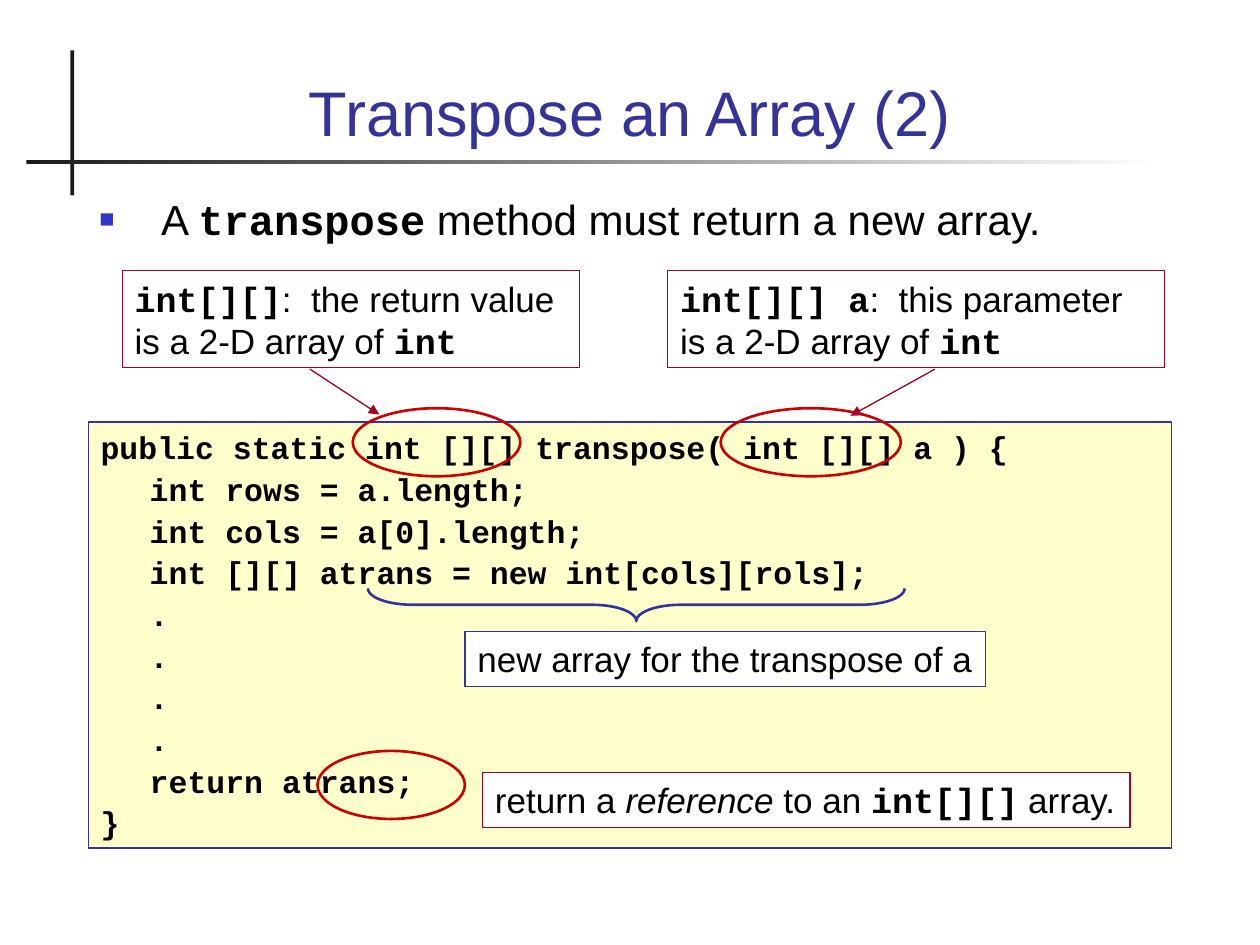
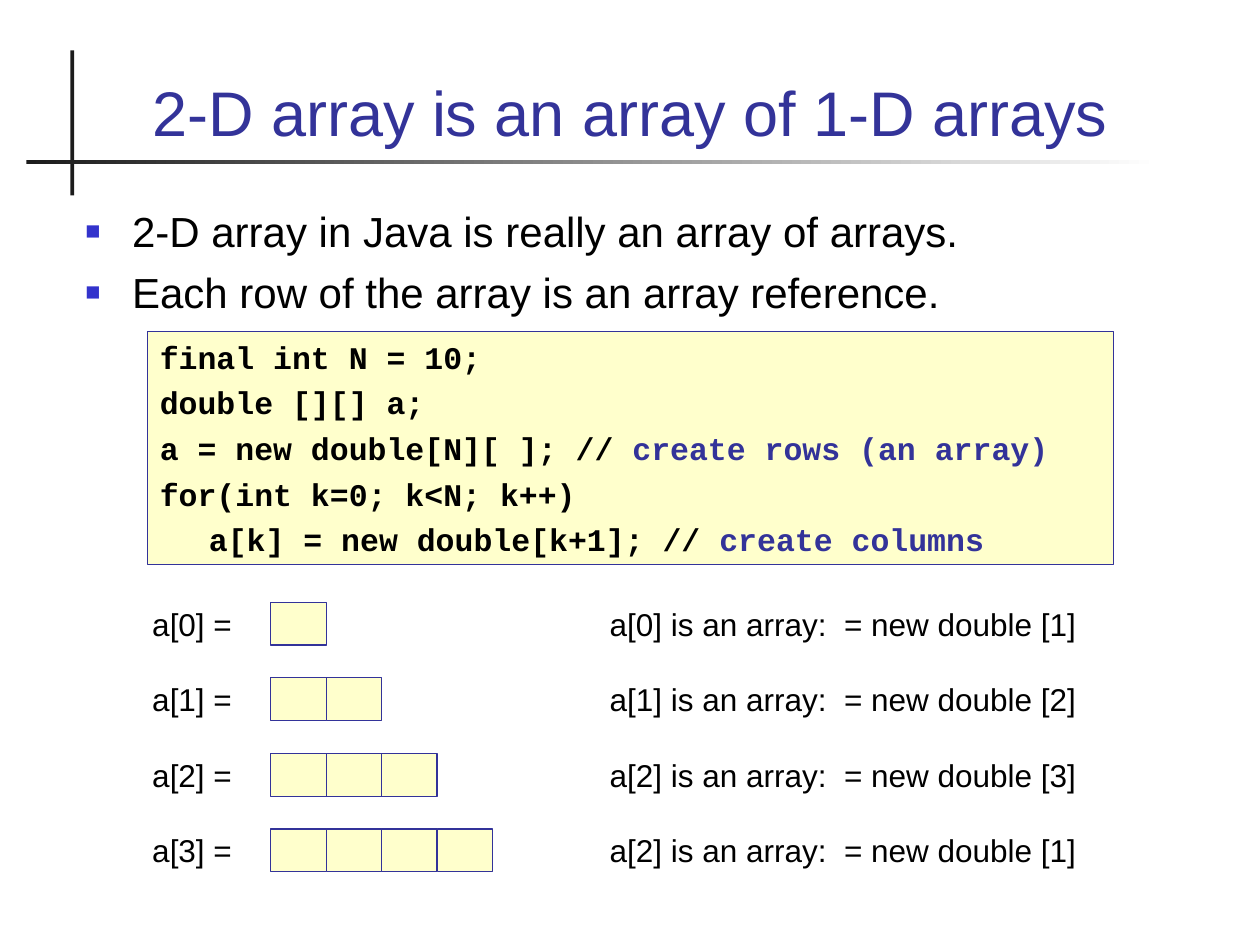
from dataclasses import dataclass

from lxml import etree
from pptx import Presentation
from pptx.dml.color import RGBColor
from pptx.enum.shapes import MSO_CONNECTOR, MSO_SHAPE
from pptx.enum.text import MSO_ANCHOR, PP_ALIGN
from pptx.oxml.ns import qn
from pptx.util import Emu, Pt

RECTANGLE = MSO_SHAPE.RECTANGLE
OVAL = MSO_SHAPE.OVAL
RIGHT_BRACE = MSO_SHAPE.RIGHT_BRACE
STRAIGHT = MSO_CONNECTOR.STRAIGHT
TOP, BOTTOM = MSO_ANCHOR.TOP, MSO_ANCHOR.BOTTOM
LEFT, CENTER = PP_ALIGN.LEFT, PP_ALIGN.CENTER

PX = 9144
CODE_TAB = 39


@dataclass(frozen=True)
class Theme:
    ink: str = "000000"
    paper: str = "FFFFFF"
    rule: str = "1C1C1C"
    accent: str = "333399"
    bullet: str = "3333CC"
    code_fill: str = "FFFFCC"
    note: str = "A50021"
    ring: str = "CC0000"
    text_font: str = "Arial"
    code_font: str = "Courier New"
    title_size: int = 36
    body_size: int = 24
    note_size: int = 20
    code_size: int = 18
    thin: float = 0.75
    thick: float = 1.5


def rgb(color):
    return RGBColor.from_string(color)


def px(*lengths):
    return [Emu(length * PX) for length in lengths]


def code(text):
    return text, "code"


def comment(text):
    return text, "comment"


class Slides:
    def __init__(self, theme):
        self.theme = theme
        self.deck = Presentation()
        self.deck.slide_width, self.deck.slide_height = px(1000, 750)
        self.page = None

    def add_page(self, title):
        theme = self.theme
        self.page = self.deck.slides.add_slide(self.deck.slide_layouts[6])
        self.shape(RECTANGLE, (56, 40, 3, 115), fill=theme.rule)
        band = self.shape(RECTANGLE, (21, 127, 899, 3), fill=theme.rule)
        band.fill.gradient()
        band.fill.gradient_angle = 0
        for stop, color in zip(band.fill.gradient_stops, (theme.rule, theme.paper)):
            stop.color.rgb = rgb(color)
        self.text((67, 28, 866, 95), [[title]], theme.title_size,
                  color=theme.accent, align=CENTER, anchor=BOTTOM)

    def shape(self, kind, area, fill=None, line=None, width=Theme.thin):
        shape = self.page.shapes.add_shape(kind, *px(*area))
        shape.shadow.inherit = False
        if fill:
            shape.fill.solid()
            shape.fill.fore_color.rgb = rgb(fill)
        else:
            shape.fill.background()
        if line:
            shape.line.color.rgb = rgb(line)
            shape.line.width = Pt(width)
        else:
            shape.line.fill.background()
        return shape

    def text(self, area, lines, size, **options):
        box = self.page.shapes.add_textbox(*px(*area))
        self.set_text(box, lines, size, **options)

    def set_text(self, box, lines, size, color=Theme.ink, font=Theme.text_font,
                 bold=False, align=LEFT, anchor=TOP, wrap=True, gap=0, hanging=0, tab=0):
        frame = box.text_frame
        frame.word_wrap = wrap
        frame.vertical_anchor = anchor
        for index, spans in enumerate(lines):
            para = frame.paragraphs[0] if index == 0 else frame.add_paragraph()
            if hanging:
                self.bullet(para, hanging)
            if tab:
                stops = etree.SubElement(para._p.get_or_add_pPr(), qn("a:tabLst"))
                etree.SubElement(stops, qn("a:tab"), pos=str(tab * PX), algn="l")
            para.alignment = align
            if index and gap:
                para.space_before = Pt(gap)
            para.font.size = Pt(size)
            para.font.name = font
            para.font.bold = bold
            para.font.color.rgb = rgb(color)
            for span in spans:
                self.span(para, span)

    def span(self, para, span):
        text, style = (span, "plain") if isinstance(span, str) else span
        run = para.add_run()
        run.text = text
        if style == "code":
            run.font.name = self.theme.code_font
            run.font.bold = True
        elif style == "italic":
            run.font.italic = True
        elif style == "comment":
            run.font.color.rgb = rgb(self.theme.accent)

    def bullet(self, para, hanging):
        props = para._p.get_or_add_pPr()
        props.set("marL", str(hanging * PX))
        props.set("indent", str(-hanging * PX))
        tint = etree.SubElement(props, qn("a:buClr"))
        etree.SubElement(tint, qn("a:srgbClr"), val=self.theme.bullet)
        etree.SubElement(props, qn("a:buSzPct"), val="60000")
        etree.SubElement(props, qn("a:buFont"), typeface=self.theme.text_font)
        etree.SubElement(props, qn("a:buChar"), char="■")

    def bullets(self, area, lines, hanging):
        self.text(area, lines, self.theme.body_size, gap=6, hanging=hanging)

    def code_box(self, area, lines, gap):
        theme = self.theme
        box = self.shape(RECTANGLE, area, theme.code_fill, theme.accent)
        self.set_text(box, lines, theme.code_size, font=theme.code_font,
                      bold=True, gap=gap, tab=CODE_TAB)

    def note(self, area, spans, line=Theme.note, fill=None, wrap=True):
        box = self.shape(RECTANGLE, area, fill, line)
        self.set_text(box, [spans], self.theme.note_size, wrap=wrap)

    def ring(self, area):
        self.shape(OVAL, area, line=self.theme.ring, width=self.theme.thick)

    def brace(self, area):
        left, top, width, height = area
        shift = (width - height) // 2
        upright = (left + shift, top - shift, height, width)
        brace = self.shape(RIGHT_BRACE, upright, line=self.theme.accent, width=self.theme.thick)
        brace.rotation = 90
        brace.adjustments[0] = 1.36

    def arrow(self, start, end):
        arrow = self.page.shapes.add_connector(STRAIGHT, *px(*start, *end))
        arrow.line.color.rgb = rgb(self.theme.note)
        arrow.line.width = Pt(self.theme.thin)
        props = arrow._element.spPr
        etree.SubElement(props.find(qn("a:ln")), qn("a:tailEnd"), type="triangle")
        etree.SubElement(props, qn("a:effectLst"))


def add_transpose_page(slides):
    theme = slides.theme
    slides.add_page("Transpose an Array (2)")
    slides.bullets((69, 149, 863, 54),
                   [["A ", code("transpose"), " method must return a new array."]], 49)
    slides.code_box((70, 335, 860, 338), [
        ["public static int [][] transpose( int [][] a ) {"],
        ["\tint rows = a.length;"],
        ["\tint cols = a[0].length;"],
        ["\tint [][] atrans = new int[cols][rols];"],
        *[["\t."]] * 4,
        ["\treturn atrans;"],
        ["}"],
    ], gap=2.2)
    for area in ((280, 324, 133, 54), (572, 324, 143, 54), (252, 596, 117, 54)):
        slides.ring(area)
    slides.note((97, 215, 363, 77), [
        code("int[][]"), ":  the return value is a 2-D array of ", code("int")])
    slides.note((530, 215, 394, 77), [
        code("int[][] a"), ":  this parameter is a 2-D array of ", code("int")])
    slides.arrow((246, 293), (301, 329))
    slides.arrow((742, 293), (675, 330))
    slides.note((383, 613, 514, 44), [
        "return a ", ("reference", "italic"), " to an ", code("int[][]"), " array."],
        fill=theme.paper, wrap=False)
    slides.brace((292, 467, 426, 26))
    slides.note((369, 501, 413, 44), ["new array for the transpose of a"],
                line=theme.accent, fill=theme.paper, wrap=False)


def add_rows_page(slides):
    theme = slides.theme
    slides.add_page("2-D array is an array of 1-D arrays")
    slides.bullets((58, 158, 866, 100), [
        ["2-D array in Java is really an array of arrays."],
        ["Each row of the array is an array reference."],
    ], 37)
    slides.code_box((117, 263, 767, 185), [
        ["final int N = 10;"],
        ["double [][] a;"],
        ["a = new double[N][ ]; // ", comment("create rows (an array)")],
        ["for(int k=0; k<N; k++)"],
        ["\ta[k] = new double[k+1]; // ", comment("create columns")],
    ], gap=4.5)
    cell_width, cell_height, row_pitch = 44, 34, 60
    descriptions = [(0, 1), (1, 2), (2, 3), (2, 1)]
    for row, (index, length) in enumerate(descriptions):
        top = 478 + row * row_pitch
        slides.text((111, top - 3, 89, 40), [[f"a[{row}] ="]], theme.code_size)
        for column in range(row + 1):
            slides.shape(RECTANGLE, (215 + column * cell_width, top, cell_width, cell_height),
                         theme.code_fill, theme.accent)
        slides.text((474, top - 3, 428, 40),
                    [[f"a[{index}] is an array:  = new double [{length}]"]], theme.code_size)


def main():
    slides = Slides(Theme())
    add_transpose_page(slides)
    add_rows_page(slides)
    slides.deck.save("out.pptx")


if __name__ == "__main__":
    main()
